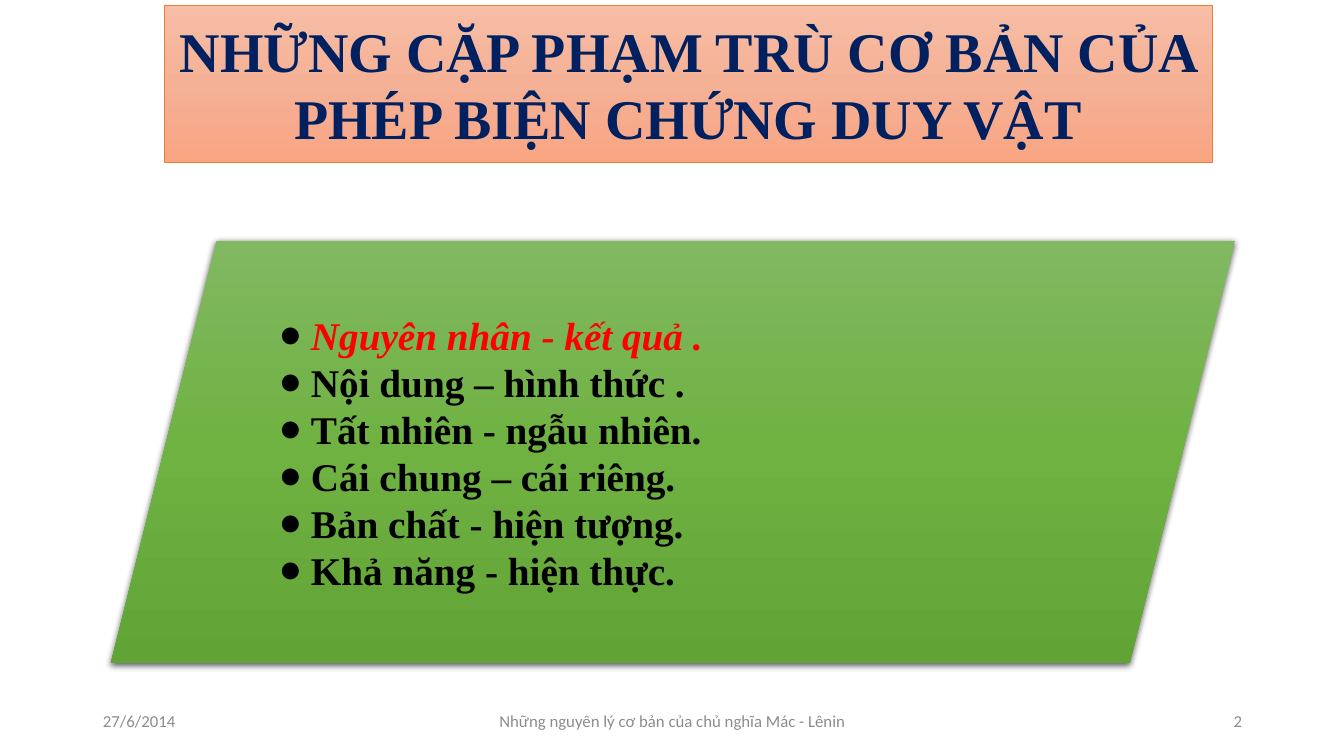
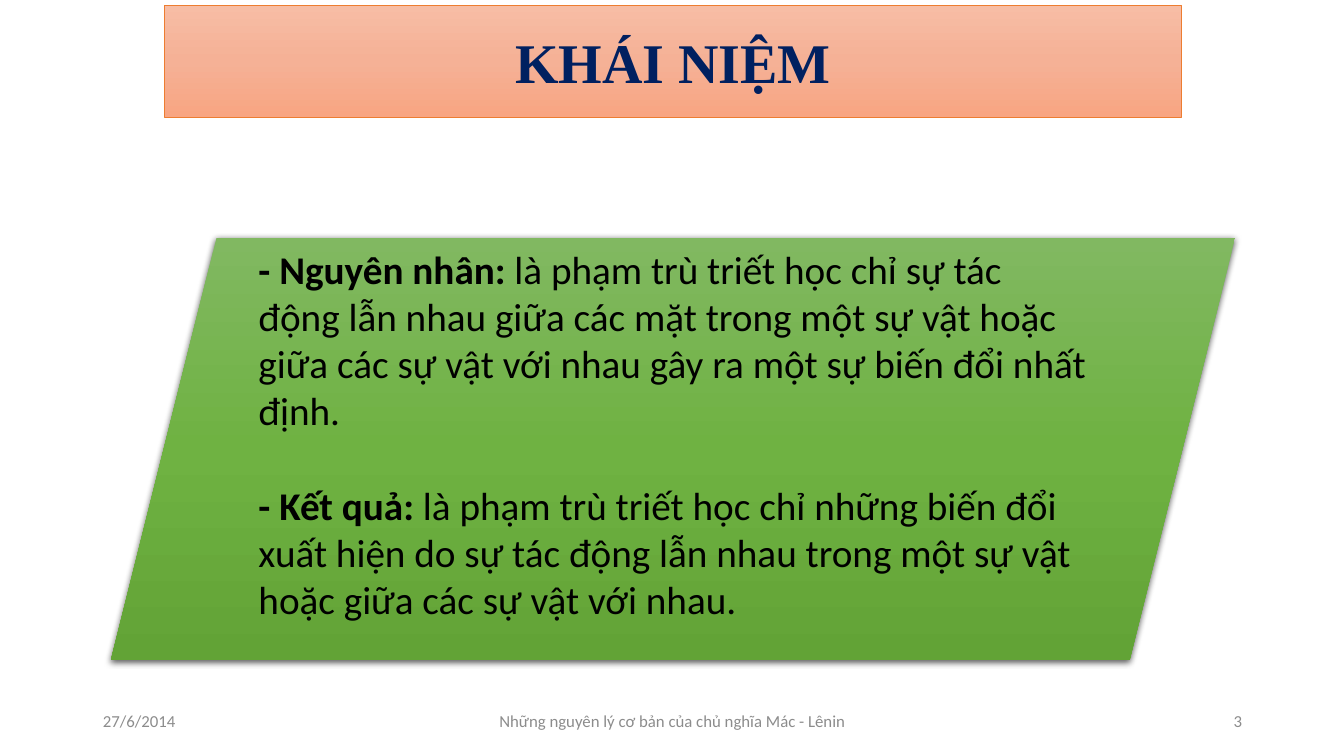
from copy import deepcopy
from dataclasses import dataclass

from lxml import etree
from pptx import Presentation
from pptx.dml.color import RGBColor
from pptx.enum.shapes import MSO_SHAPE, PP_PLACEHOLDER
from pptx.enum.text import MSO_ANCHOR, MSO_AUTO_SIZE, PP_ALIGN
from pptx.oxml import parse_xml
from pptx.oxml.ns import nsdecls, qn
from pptx.util import Inches, Pt


@dataclass(frozen=True)
class Theme:
    title_font: str = "Times New Roman"
    body_font: str = "Calibri"
    title_size: int = 40
    body_size: int = 28
    footer_size: int = 12
    title_color: str = "002060"
    text_color: str = "000000"
    accent_color: str = "FF0000"
    footer_color: str = "8C8C8C"
    banner_line: str = "ED7D31"
    banner_stops: tuple = ("F7BDA5", "F5B196", "F8A582")
    panel_stops: tuple = ("81B861", "6FB242", "62A336")


THEME = Theme()

# Content
FIRST_NUMBER = 2
DATE = "27/6/2014"
FOOTER = "Những nguyên lý cơ bản của chủ nghĩa Mác - Lênin"
CATEGORIES = [
    "Nguyên nhân - kết quả .",
    "Nội dung – hình thức .",
    "Tất nhiên - ngẫu nhiên.",
    "Cái chung – cái riêng.",
    "Bản chất - hiện tượng.",
    "Khả năng - hiện thực.",
]
DEFINITIONS = [
    ("- Nguyên nhân: ",
     "là phạm trù triết học chỉ sự tác động lẫn nhau giữa các mặt trong một "
     "sự vật hoặc giữa các sự vật với nhau gây ra một sự biến đổi nhất định."),
    ("- Kết quả: ",
     "là phạm trù triết học chỉ những biến đổi xuất hiện do sự tác động lẫn "
     "nhau trong một sự vật hoặc giữa các sự vật với nhau."),
]

# Footer placeholders: left, width, alignment
FOOTER_SLOTS = {
    PP_PLACEHOLDER.DATE: (0.92, 3, PP_ALIGN.LEFT),
    PP_PLACEHOLDER.FOOTER: (4.42, 4.5, PP_ALIGN.CENTER),
    PP_PLACEHOLDER.SLIDE_NUMBER: (9.42, 3, PP_ALIGN.RIGHT),
}


def place(shape, left, top, width, height):
    shape.left, shape.top = Inches(left), Inches(top)
    shape.width, shape.height = Inches(width), Inches(height)


def format_run(run, font, size, color, bold=False, italic=False):
    run.font.name = font
    run.font.size = Pt(size)
    run.font.color.rgb = RGBColor.from_string(color)
    run.font.bold = bold
    run.font.italic = italic


def fill_gradient(shape, colors):
    """Spread the colours evenly from top to bottom."""
    shape.fill.gradient()
    shape.fill.gradient_angle = 270
    first_stop = shape.fill._fill._gradFill.find(qn("a:gsLst"))
    for stop in list(first_stop):
        first_stop.remove(stop)
    for index, color in enumerate(colors):
        position = index * 100000 // (len(colors) - 1)
        first_stop.append(parse_xml(
            f'<a:gs {nsdecls("a")} pos="{position}"><a:srgbClr val="{color}"/></a:gs>'))


def add_bullet(paragraph, margin, hanging):
    properties = paragraph._p.get_or_add_pPr()
    properties.set("marL", str(Inches(margin)))
    properties.set("indent", str(-Inches(hanging)))
    color = etree.SubElement(properties, qn("a:buClr"))
    etree.SubElement(color, qn("a:srgbClr"), val=THEME.text_color)
    etree.SubElement(properties, qn("a:buFont"), typeface=THEME.title_font)
    etree.SubElement(properties, qn("a:buChar"), char="●")


def add_footers(slide, layout, number):
    texts = {
        PP_PLACEHOLDER.DATE: DATE,
        PP_PLACEHOLDER.FOOTER: FOOTER,
        PP_PLACEHOLDER.SLIDE_NUMBER: str(number),
    }
    for source in layout.placeholders:
        if source.placeholder_format.type in texts:
            slide.shapes._spTree.append(deepcopy(source._element))
    for footer in slide.placeholders:
        kind = footer.placeholder_format.type
        if kind in texts:
            left, width, alignment = FOOTER_SLOTS[kind]
            place(footer, left, 6.95, width, 0.4)
            footer.text_frame.text = texts[kind]
            footer.text_frame.vertical_anchor = MSO_ANCHOR.MIDDLE
            paragraph = footer.text_frame.paragraphs[0]
            paragraph.alignment = alignment
            format_run(paragraph.runs[0], THEME.body_font, THEME.footer_size,
                       THEME.footer_color)


def add_title(slide, text, width, height):
    title = slide.shapes.title
    place(title, 1.63, 0.05, width, height)
    title._element.spPr.insert(1, parse_xml(
        f'<a:prstGeom {nsdecls("a")} prst="roundRect"><a:avLst/></a:prstGeom>'))
    fill_gradient(title, THEME.banner_stops)
    title.line.color.rgb = RGBColor.from_string(THEME.banner_line)
    title.line.width = Pt(0.5)
    frame = title.text_frame
    frame.text = text
    frame.word_wrap = False
    frame.auto_size = MSO_AUTO_SIZE.NONE
    frame.vertical_anchor = MSO_ANCHOR.MIDDLE
    for paragraph in frame.paragraphs:
        paragraph.alignment = PP_ALIGN.CENTER
        for run in paragraph.runs:
            format_run(run, THEME.title_font, THEME.title_size,
                       THEME.title_color, bold=True)


def add_panel(slide, top):
    panel = slide.shapes.add_shape(
        MSO_SHAPE.PARALLELOGRAM, Inches(1.1), Inches(top), Inches(11.15), Inches(4.19))
    fill_gradient(panel, THEME.panel_stops)
    panel.line.fill.background()
    panel.shadow.inherit = False
    effects = panel._element.spPr.find(qn("a:effectLst"))
    effects.append(parse_xml(
        f'<a:outerShdw {nsdecls("a")} blurRad="{Pt(4.5)}" dist="{Pt(1.5)}" '
        'dir="5400000" algn="ctr" rotWithShape="0"><a:srgbClr val="000000">'
        '<a:alpha val="63000"/></a:srgbClr></a:outerShdw>'))
    panel.text_frame.word_wrap = True
    panel.text_frame.vertical_anchor = MSO_ANCHOR.MIDDLE
    return panel.text_frame


def write_categories(frame):
    frame.text = "\n".join(CATEGORIES)
    for index, paragraph in enumerate(frame.paragraphs):
        paragraph.alignment = PP_ALIGN.LEFT
        add_bullet(paragraph, margin=0.52, hanging=0.32)
        current = index == 0
        format_run(paragraph.runs[0], THEME.title_font, THEME.body_size,
                   THEME.accent_color if current else THEME.text_color,
                   bold=True, italic=current)


def write_definitions(frame):
    frame.margin_bottom = Inches(0.35)
    for index, (term, meaning) in enumerate(DEFINITIONS):
        paragraph = frame.add_paragraph() if index else frame.paragraphs[0]
        paragraph.alignment = PP_ALIGN.LEFT
        paragraph.space_before = Pt(34 if index else 0)
        for text, bold in ((term, True), (meaning, False)):
            run = paragraph.add_run()
            run.text = text
            format_run(run, THEME.body_font, THEME.body_size,
                       THEME.text_color, bold=bold)


# Slides: title, banner width and height, panel top, body writer
SLIDES = [
    ("NHỮNG CẶP PHẠM TRÙ CƠ BẢN CỦA \nPHÉP BIỆN CHỨNG DUY VẬT",
     10.39, 1.56, 2.39, write_categories),
    ("KHÁI NIỆM", 10.09, 1.11, 2.36, write_definitions),
]


def main():
    presentation = Presentation()
    presentation.slide_width = Inches(13.33)
    presentation.slide_height = Inches(7.5)
    layout = presentation.slide_layouts.get_by_name("Title Only")
    for number, (title, width, height, top, write_body) in enumerate(SLIDES, FIRST_NUMBER):
        slide = presentation.slides.add_slide(layout)
        add_title(slide, title, width, height)
        write_body(add_panel(slide, top))
        add_footers(slide, layout, number)
    presentation.save("out.pptx")


if __name__ == "__main__":
    main()
